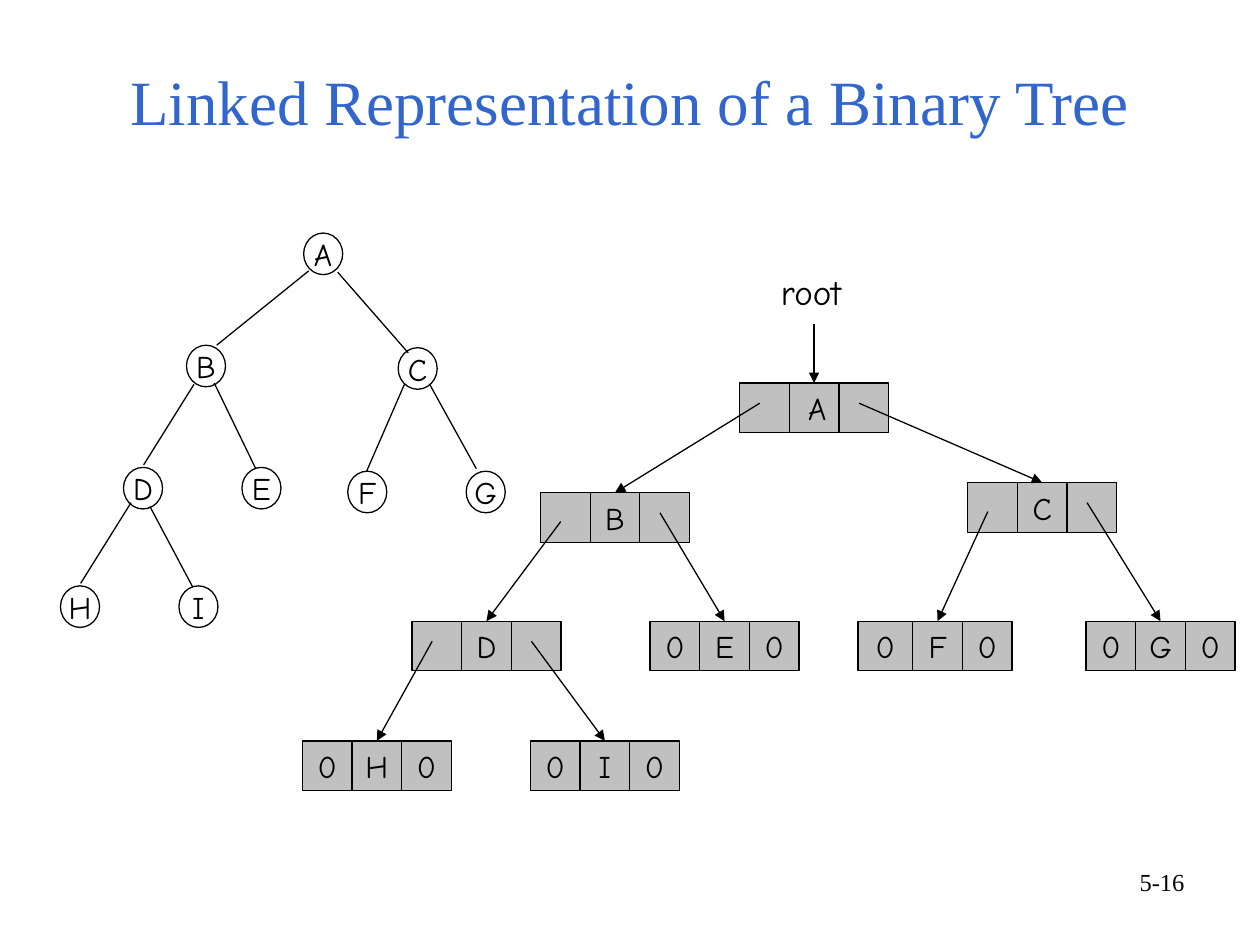
"""Build the slide on the linked representation of a binary tree."""
from lxml.etree import SubElement
from pptx import Presentation
from pptx.dml.color import RGBColor
from pptx.enum.shapes import MSO_CONNECTOR, MSO_SHAPE
from pptx.enum.text import MSO_ANCHOR, MSO_AUTO_SIZE, PP_ALIGN
from pptx.oxml.ns import qn
from pptx.util import Inches, Pt

HAND, SERIF = "Comic Neue", "Times New Roman"
CELL, STEM = 3.94, 1.6
NODE_WIDTH, NODE_HEIGHT = 3.1, 3.3

deck = Presentation()
deck.slide_width, deck.slide_height = Inches(10), Inches(7.5)
column = deck.slide_width / 100
slide = deck.slides.add_slide(deck.slide_layouts[5])


def write(holder, words, size, face, align, anchor, color="000000", wrap=True):
    frame = holder.text_frame
    frame.text = words
    frame_format = {"word_wrap": wrap, "vertical_anchor": anchor, "auto_size": MSO_AUTO_SIZE.NONE}
    for key, value in frame_format.items():
        setattr(frame, key, value)
    paragraph = frame.paragraphs[0]
    paragraph.alignment = align
    for key, value in {"size": Pt(size), "name": face}.items():
        setattr(paragraph.font, key, value)
    paragraph.font.color.rgb = RGBColor.from_string(color)


def outline(part, arrow=False):
    part.line.color.rgb = RGBColor.from_string("000000")
    part.line.width = Pt(0.75)
    properties = part._element.spPr
    if arrow:
        SubElement(part.line._get_or_add_ln(), qn("a:tailEnd"), type="triangle")
    SubElement(properties, qn("a:effectLst"))


heading = slide.shapes.title
title_area = {"left": 0, "top": 3.8, "width": 100, "height": 7.7}
for side, share in title_area.items():
    setattr(heading, side, int(column * share))
write(heading, "Linked Representation of a Binary Tree", 36, SERIF,
      PP_ALIGN.CENTER, MSO_ANCHOR.BOTTOM, "3366CC")

labels = [
    ("root", 61, 21, 9, 4.4, 20, HAND, PP_ALIGN.LEFT),
    ("5-16", 71.7, 68.3, 23.3, 5.2, 14, SERIF, PP_ALIGN.RIGHT),
]
for words, left, top, width, height, size, face, align in labels:
    label = slide.shapes.add_textbox(*(int(column * n) for n in (left, top, width, height)))
    write(label, words, size, face, align, MSO_ANCHOR.TOP)

records = {
    "A": (58.7, 30.4, "", ""), "B": (42.9, 39.1, "", ""), "C": (76.8, 38.3, "", ""),
    "D": (32.7, 49.3, "", ""), "E": (51.6, 49.3, "0", "0"), "F": (68.5, 49.3, "0", "0"),
    "G": (86.2, 49.3, "0", "0"), "H": (24, 58.8, "0", "0"), "I": (42.1, 58.8, "0", "0"),
}
data_cells = {}
for letter, (left, top, left_link, right_link) in records.items():
    record = slide.shapes.add_group_shape()
    for index, words in enumerate((left_link, letter, right_link)):
        extra = 0.4 if letter == "F" and index == 0 else 0
        area = (left + index * CELL - extra, top, CELL + extra, CELL)
        cell = record.shapes.add_shape(MSO_SHAPE.RECTANGLE, *(int(column * n) for n in area))
        cell.fill.solid()
        cell.fill.fore_color.rgb = RGBColor.from_string("C0C0C0")
        outline(cell)
        if words:
            align = PP_ALIGN.RIGHT if words == "A" else PP_ALIGN.CENTER
            write(cell, words, 18, HAND, align, MSO_ANCHOR.MIDDLE, wrap=False)
        if index == 1:
            data_cells[letter] = cell

links = [("A", 0, "B", STEM), ("A", 2, "C", STEM), ("B", 0, "D", 2.3), ("B", 2, "E", STEM),
         ("C", 0, "F", 2.3), ("C", 2, "G", STEM), ("D", 0, "H", STEM), ("D", 2, "I", STEM)]
arrows = [(64.2, 25.7, "A")]
for parent, index, child, drop in links:
    left, top = records[parent][:2]
    arrows.append((left + index * CELL + STEM, top + drop, child))
for x, y, child in arrows:
    start = int(column * x), int(column * y)
    pointer = slide.shapes.add_connector(MSO_CONNECTOR.STRAIGHT, *start, *start)
    pointer.end_connect(data_cells[child], 0)
    if child == "A":
        pointer.begin_x = pointer.end_x
    outline(pointer, arrow=True)

tree = slide.shapes.add_group_shape()
nodes = {"A": (24.1, 18.5), "B": (14.8, 27.4), "C": (31.6, 27.6), "D": (9.8, 37.1), "E": (19.2, 37.1),
         "F": (27.6, 37.4), "G": (37, 37.4), "H": (4.8, 46.5), "I": (14.2, 46.5)}
for letter, (left, top) in nodes.items():
    area = (left, top, NODE_WIDTH, NODE_HEIGHT)
    node = tree.shapes.add_shape(MSO_SHAPE.OVAL, *(int(column * n) for n in area))
    node.fill.background()
    outline(node)
    write(node, letter, 18, HAND, PP_ALIGN.CENTER, MSO_ANCHOR.MIDDLE, wrap=False)

branches = [
    (24.5, 21.5, 17.2, 27.4), (26.8, 21.6, 32.4, 28), (15.4, 30.5, 11.4, 36.9), (17, 30.4, 20.3, 37.2),
    (32.1, 30.5, 29.1, 37.4), (34.1, 30.5, 37.8, 37.2), (10.4, 39.9, 6.4, 46.3), (11.9, 40.2, 15.3, 46.6),
]
for ends in branches:
    branch = tree.shapes.add_connector(MSO_CONNECTOR.STRAIGHT, *(int(column * n) for n in ends))
    outline(branch)

deck.save("out.pptx")
